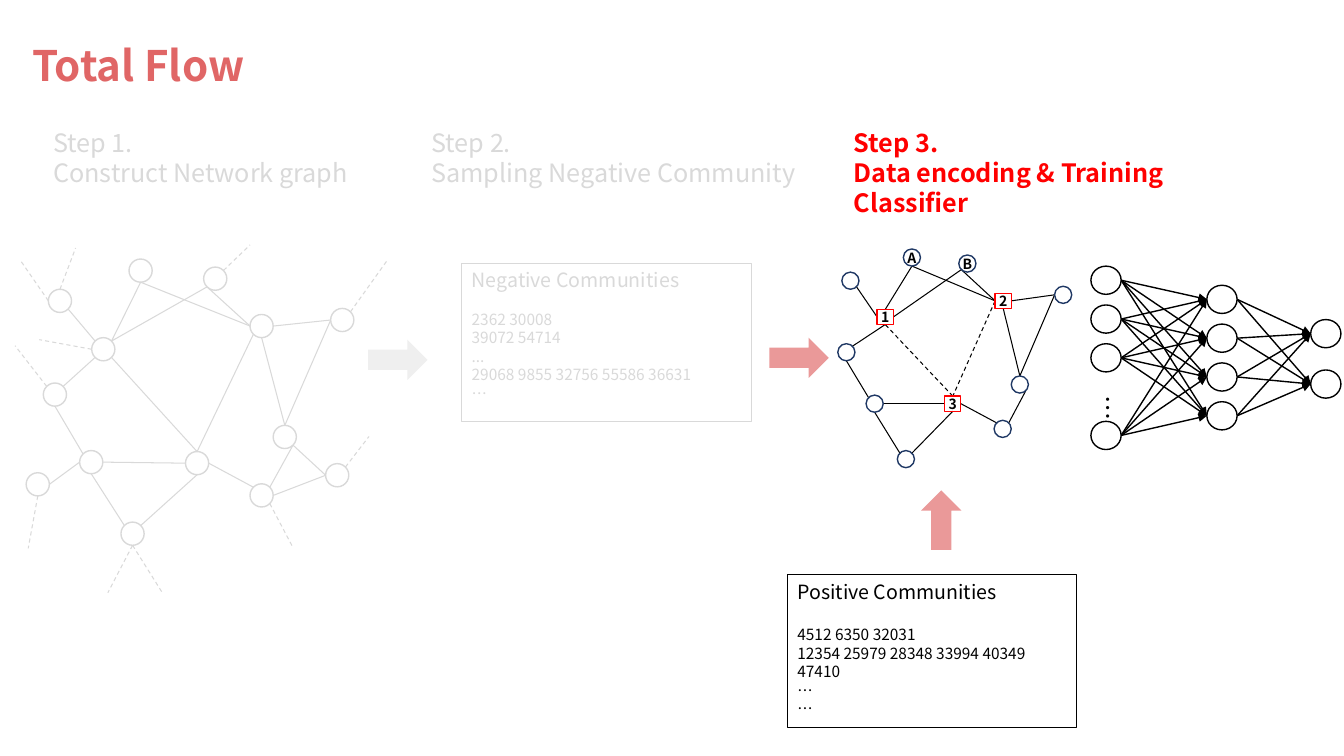
from dataclasses import dataclass
from itertools import product
from math import cos, pi, sin

from lxml.etree import SubElement
from pptx import Presentation
from pptx.dml.color import RGBColor as RGB
from pptx.enum.dml import MSO_LINE
from pptx.enum.shapes import MSO_CONNECTOR as CONN, MSO_SHAPE as SHAPE
from pptx.enum.text import MSO_ANCHOR as ANCHOR, MSO_AUTO_SIZE as FIT, PP_ALIGN as ALIGN
from pptx.oxml.ns import qn
from pptx.util import Inches, Pt


@dataclass(frozen=True)
class Theme:
    font: str = "Noto Sans CJK KR"
    title: str = "E06666"
    faded: str = "D9D9D9"
    faded_arrow: str = "EFEFEF"
    arrow: str = "EA9999"
    accent: str = "FF0000"
    node: str = "1F3864"
    ink: str = "000000"
    paper: str = "FFFFFF"
    title_size: int = 30
    step_size: int = 18
    head_size: int = 14
    body_size: int = 11
    label_size: int = 10
    thin: float = 0.75
    thick: float = 1


class FlowSlide:
    """Draws the elements of one slide in a shared theme."""

    def __init__(self, prs, theme):
        self.t = theme
        self.s = prs.slides.add_slide(prs.slide_layouts[5])

    def style(self, p, size, color, bold=False, align=ALIGN.LEFT):
        p.alignment = align
        p.font.name, p.font.size, p.font.bold = self.t.font, Pt(size), bold
        p.font.color.rgb = RGB.from_string(color)

    def frame(self, sp, lines, sizes, color, bold=False, gap=0):
        tf = sp.text_frame
        tf.word_wrap, tf.auto_size, tf.vertical_anchor = True, FIT.NONE, ANCHOR.TOP
        tf.text = "\n".join(lines)
        for i, p in enumerate(tf.paragraphs):
            self.style(p, sizes[min(i, len(sizes) - 1)], color, bold)
        if gap:
            tf.paragraphs[1].space_before = Pt(gap)
        return tf

    def title(self, text, box):
        sp = self.s.shapes.title
        sp.left, sp.top, sp.width, sp.height = map(Inches, box)
        tf = self.frame(sp, [text], [self.t.title_size], self.t.title, True)
        tf.margin_left = tf.margin_right = tf.margin_top = tf.margin_bottom = Inches(0.1)

    def text(self, lines, box, color, bold=False, rotation=0):
        sp = self.s.shapes.add_textbox(*map(Inches, box))
        sp.rotation = rotation
        self.frame(sp, lines, [self.t.step_size], color, bold)

    def shape(self, kind, box, fill=None, line=None, width=1, shapes=None):
        sp = (shapes or self.s.shapes).add_shape(kind, *map(Inches, box))
        sp.shadow.inherit = False
        if fill:
            sp.fill.solid()
            sp.fill.fore_color.rgb = RGB.from_string(fill)
        else:
            sp.fill.background()
        if line:
            sp.line.color.rgb = RGB.from_string(line)
            sp.line.width = Pt(width)
        else:
            sp.line.fill.background()
        return sp

    def label(self, sp, text):
        tf = sp.text_frame
        tf.word_wrap, tf.vertical_anchor = False, ANCHOR.MIDDLE
        tf.text = text
        self.style(tf.paragraphs[0], self.t.label_size, self.t.ink, True, ALIGN.CENTER)

    def arrow(self, x, y, color, rotation=0):
        self.shape(SHAPE.RIGHT_ARROW, (x, y, 0.59, 0.4), color).rotation = rotation

    def line(self, start, end, color, width, dashed=False, head=False, shapes=None):
        c = (shapes or self.s.shapes).add_connector(CONN.STRAIGHT, *map(Inches, (*start, *end)))
        c.line.color.rgb = RGB.from_string(color)
        c.line.width = Pt(width)
        if dashed:
            c.line.dash_style = MSO_LINE.DASH
        if head:
            SubElement(c.line._get_or_add_ln(), qn("a:tailEnd"), type="triangle")
        SubElement(c._element.spPr, qn("a:effectLst"))

    def listing(self, head, rows, box, color, gap):
        sp = self.shape(SHAPE.RECTANGLE, box, None, color, self.t.thin)
        self.frame(sp, [head, *rows], [self.t.head_size, self.t.body_size], color, gap=gap)

    def graph(self, nodes, size, edges, node_color, edge_color, dashed="", rays=(), shapes=None):
        def site(ref):
            name, k = ref[0], int(ref[1])
            x, y = nodes[name]
            w, h = (0.16, 0.15) if name.isdigit() else (size, size)
            a = k * pi / 4
            return x + w / 2 * (1 - sin(a)), y + h / 2 * (1 - cos(a))

        for refs, dash in ((edges, False), (dashed, True)):
            for edge in refs.split():
                start, end = map(site, edge.split("-"))
                self.line(start, end, edge_color, self.t.thin, dash, shapes=shapes)
        for ref, end in rays:
            self.line(site(ref), end, edge_color, self.t.thin, True, shapes=shapes)
        for name, (x, y) in nodes.items():
            if name.isdigit():
                sp = self.shape(SHAPE.RECTANGLE, (x, y, 0.16, 0.15), None, self.t.accent)
            else:
                sp = self.shape(SHAPE.OVAL, (x, y, size, size), None, node_color, shapes=shapes)
            if not name.islower():
                self.label(sp, name)

    def classifier(self, layers, w, h):
        for (x1, tops1), (x2, tops2) in zip(layers, layers[1:]):
            for y1, y2 in product(tops1, tops2):
                self.line((x1 + w, y1 + h / 2), (x2, y2 + h / 2),
                          self.t.ink, self.t.thick, head=True)
        for x, tops in layers:
            for y in tops:
                self.shape(SHAPE.OVAL, (x, y, w, h), self.t.paper, self.t.ink, self.t.thick)


NETWORK = {
    "a": (0.91, 3.35), "b": (2.48, 3.12), "c": (1.84, 4.48), "d": (1.28, 2.57),
    "e": (2.02, 2.65), "f": (0.43, 3.8), "g": (0.79, 4.47), "h": (1.2, 5.18),
    "i": (0.48, 2.87), "j": (0.26, 4.69), "k": (2.71, 4.22), "l": (3.28, 3.06),
    "m": (2.48, 4.8), "n": (3.23, 4.6),
}
NETWORK_EDGES = ("a7-d4 b2-d4 a7-e3 b2-e3 f7-a3 f4-g1 c2-g6 h1-g4 h7-c4 i5-a1 "
                 "j6-g2 b6-l2 b4-k0 l2-k0 c6-m1 k5-n2 m6-n2 k5-m7 c0-a5 b3-c0")
NETWORK_RAYS = (
    ("i0", (0.75, 2.46)), ("i2", (0.2, 2.58)), ("f1", (0.15, 3.43)), ("a2", (0.39, 3.37)),
    ("j4", (0.28, 5.44)), ("h4", (1.07, 5.88)), ("h4", (1.61, 5.88)), ("l7", (3.85, 2.57)),
    ("m5", (2.91, 5.44)), ("n7", (3.66, 4.33)), ("e7", (2.48, 2.43)),
)
COMMUNITY = {
    "A": (8.96, 2.47), "B": (9.51, 2.53), "p": (8.31, 3.41), "q": (8.59, 3.92),
    "r": (8.9, 4.47), "s": (8.35, 2.7), "t": (10.03, 3.73), "u": (10.46, 2.84),
    "v": (9.86, 4.17), "1": (8.7, 3.07), "2": (9.87, 2.91), "3": (9.37, 3.93),
}
COMMUNITY_EDGES = ("10-A4 22-A4 16-B3 22-B3 p7-14 p4-q1 32-q6 r1-q4 r7-34 s5-12 "
                   "26-u2 24-t0 u2-t0 36-v1 t5-v7")


def main():
    prs = Presentation()
    prs.slide_width, prs.slide_height = Inches(13.33), Inches(7.5)
    t = Theme()
    flow = FlowSlide(prs, t)

    flow.title("Total Flow", (0.22, 0.29, 3.02, 0.47))
    flow.text(["Step 1.", "Construct Network graph"], (0.43, 1.21, 3.3, 0.4), t.faded)
    flow.text(["Step 2.", "Sampling Negative Community"], (4.18, 1.21, 4.04, 0.86), t.faded)
    flow.text(["Step 3.", "Data encoding & Training Classifier"],
              (8.37, 1.21, 4.45, 0.4), t.accent, True)

    flow.graph(NETWORK, 0.23, NETWORK_EDGES, t.faded, t.faded, rays=NETWORK_RAYS,
               shapes=flow.s.shapes.add_group_shape().shapes)
    flow.graph(COMMUNITY, 0.17, COMMUNITY_EDGES, t.node, t.ink, dashed="30-14 22-30")

    pitch = 0.385
    flow.classifier([
        (10.82, [2.64 + pitch * i for i in (0, 1, 2, 4)]),
        (11.97, [2.83 + pitch * i for i in range(4)]),
        (13, [3.17, 3.67]),
    ], 0.3, 0.28)
    flow.text(["…"], (10.95, 3.78, 0.17, 0.31), t.ink, rotation=90)

    flow.arrow(3.65, 3.37, t.faded_arrow)
    flow.arrow(7.63, 3.35, t.arrow)
    flow.arrow(9.04, 4.96, t.arrow, 270)
    flow.listing("Positive Communities",
                 ["4512 6350 32031", "12354 25979 28348 33994 40349 47410", "…", "…"],
                 (7.81, 5.7, 2.87, 1.52), t.ink, 16)
    flow.listing("Negative Communities",
                 ["2362 30008", "39072 54714", "...", "29068 9855 32756 55586 36631", "…"],
                 (4.58, 2.61, 2.87, 1.57), t.faded, 13)
    prs.save("out.pptx")


if __name__ == "__main__":
    main()
